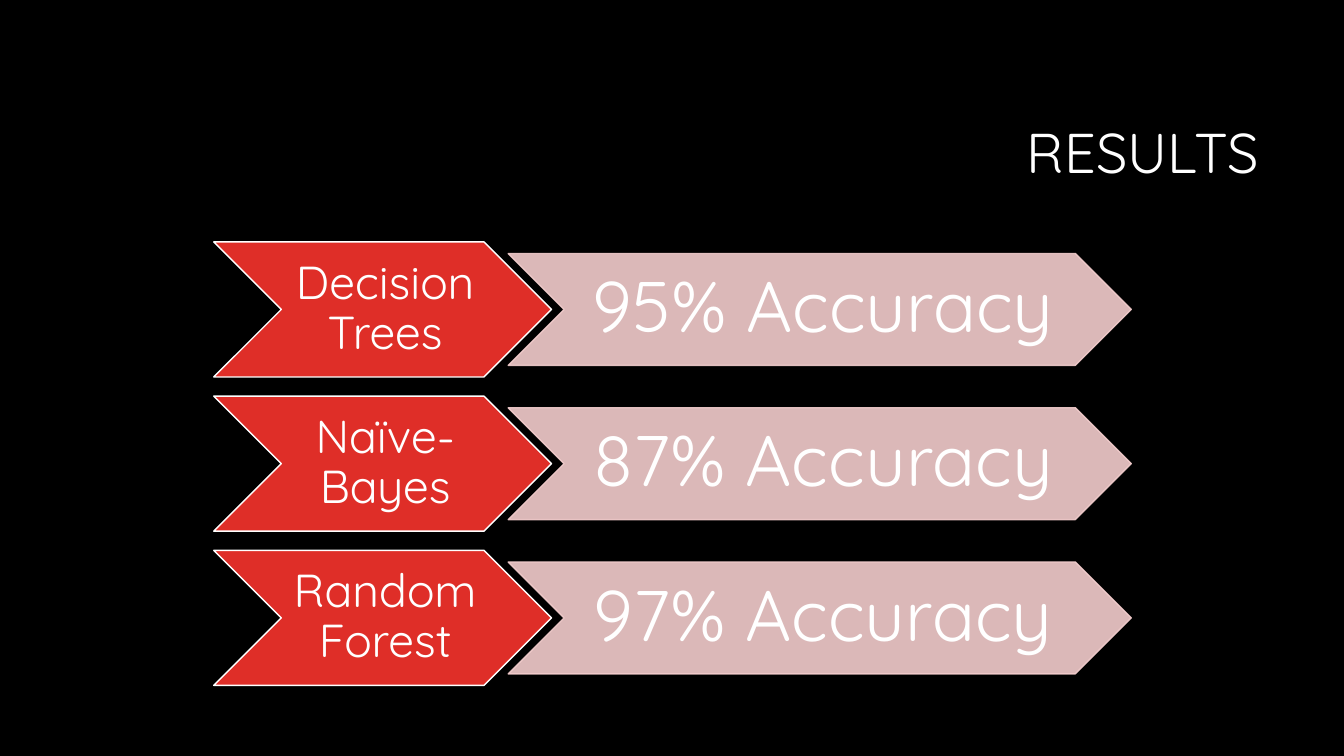
"""Build the results slide: three classifiers, each with its accuracy."""
from lxml.etree import SubElement
from pptx import Presentation
from pptx.dml.color import RGBColor
from pptx.enum.shapes import MSO_SHAPE
from pptx.enum.text import MSO_ANCHOR, MSO_AUTO_SIZE, PP_ALIGN
from pptx.oxml.ns import qn
from pptx.util import Inches, Pt

COLORS = {"background": "000000", "text": "FFFFFF", "model": "DF2E28", "score": "F3CDCD"}
RESULTS = [("Decision Trees", "95% Accuracy"),
           ("Naïve-Bayes", "87% Accuracy"),
           ("Random Forest", "97% Accuracy")]
FIRST_CENTER, ROW_STEP = 3.07, 1.53
MODEL = {"left": 2.12, "width": 3.35, "height": 1.34, "size": 33,
         "fill": "model", "line": "text", "margins": (0.05, 0.02)}
SCORE = {"left": 5.04, "width": 6.18, "height": 1.11, "size": 51,
         "fill": "score", "line": "score", "margins": (0.07, 0.04), "alpha": 90}


class ResultsSlide:
    font = "Quicksand"

    def __init__(self, deck):
        self.slide = deck.slides.add_slide(deck.slide_layouts[5])
        self.paint(self.slide.background.fill, "background")

    def paint(self, fill, color, alpha=100):
        fill.solid()
        fill.fore_color.rgb = RGBColor.from_string(COLORS[color])
        if alpha < 100:
            rgb = fill._xPr.find(qn("a:solidFill"))[0]
            SubElement(rgb, qn("a:alpha"), val=str(alpha * 1000))

    def set_text(self, frame, text, size, align, margins=(0.1, 0.05), right=0):
        frame.text = text
        horizontal, vertical = margins
        frame_format = {"word_wrap": True, "auto_size": MSO_AUTO_SIZE.NONE,
                        "vertical_anchor": MSO_ANCHOR.MIDDLE,
                        "margin_left": Inches(horizontal), "margin_right": Inches(right),
                        "margin_top": Inches(vertical), "margin_bottom": Inches(vertical)}
        paragraph = frame.paragraphs[0]
        font = paragraph.runs[0].font
        for target, values in ((frame, frame_format),
                               (paragraph, {"alignment": align, "line_spacing": 0.9}),
                               (font, {"name": self.font, "size": Pt(size)})):
            for attribute, value in values.items():
                setattr(target, attribute, value)
        self.paint(font.fill, "text")

    def title(self, text, left, top, width, height):
        heading = self.slide.shapes.title
        box = {"left": left, "top": top, "width": width, "height": height}
        for attribute, value in box.items():
            setattr(heading, attribute, Inches(value))
        self.set_text(heading.text_frame, text, 40, PP_ALIGN.RIGHT, right=0.1)

    def chevron(self, text, center, style):
        top = center - style["height"] / 2
        box = (style["left"], top, style["width"], style["height"])
        arrow = self.slide.shapes.add_shape(MSO_SHAPE.CHEVRON, *map(Inches, box))
        arrow.shadow.inherit = False
        alpha = style.get("alpha", 100)
        self.paint(arrow.fill, style["fill"], alpha)
        self.paint(arrow.line.fill, style["line"], alpha)
        arrow.line.width = Pt(1)
        self.set_text(arrow.text_frame, text, style["size"], PP_ALIGN.CENTER, style["margins"])


deck = Presentation()
deck.slide_width, deck.slide_height = Inches(13.33), Inches(7.5)
results = ResultsSlide(deck)
results.title("RESULTS", 3.17, 0.84, 9.42, 1.41)
for row, (model, score) in enumerate(RESULTS):
    center = FIRST_CENTER + row * ROW_STEP
    results.chevron(model, center, MODEL)
    results.chevron(score, center, SCORE)
deck.save("out.pptx")
